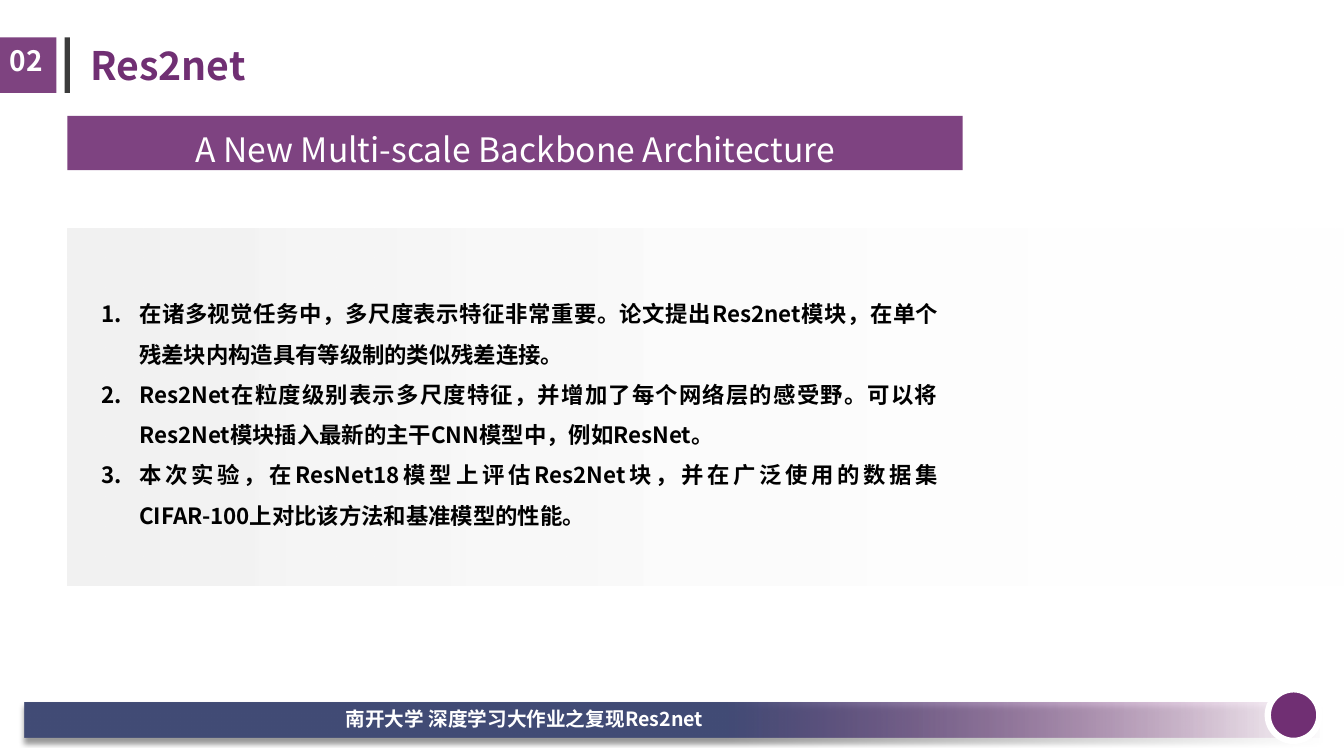
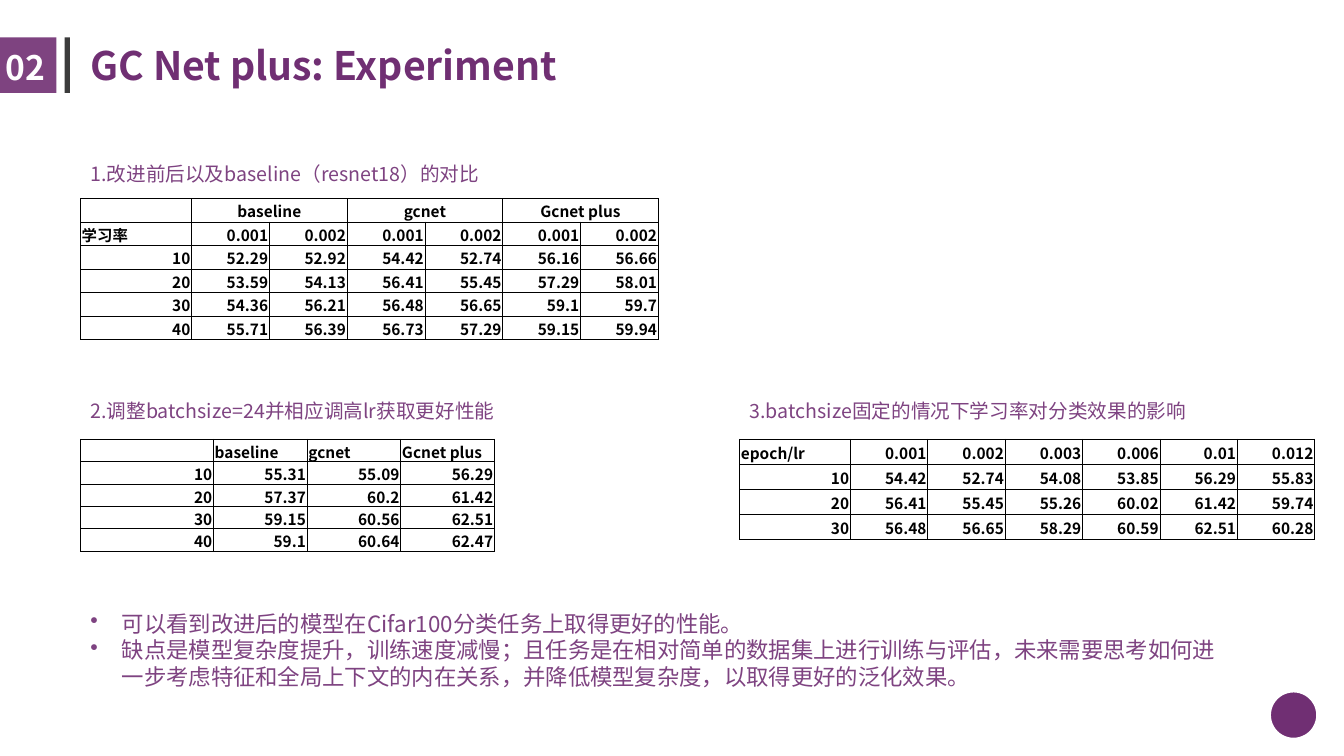
"""Build two slides on Res2net and the GC Net plus experiment."""
from lxml.etree import SubElement
from pptx import Presentation
from pptx.dml.color import RGBColor
from pptx.enum.shapes import MSO_SHAPE
from pptx.enum.text import MSO_ANCHOR, PP_ALIGN
from pptx.oxml.ns import qn
from pptx.util import Cm, Pt

RECT, OVAL = MSO_SHAPE.RECTANGLE, MSO_SHAPE.OVAL
MIDDLE, BOTTOM = MSO_ANCHOR.MIDDLE, MSO_ANCHOR.BOTTOM
LEFT, CENTER, RIGHT, JUSTIFY = PP_ALIGN.LEFT, PP_ALIGN.CENTER, PP_ALIGN.RIGHT, PP_ALIGN.JUSTIFY
FONT = "Noto Sans CJK SC"
PURPLE, MAUVE, DARK, WHITE, BLACK = "702F73", "7E4381", "262626", "FFFFFF", "000000"


def tint(color, code, alpha=100):
    """Set a colour from its hex code, with opacity in percent."""
    color.rgb = RGBColor.from_string(code)
    if alpha < 100:
        node = color._xFill.find(qn("a:srgbClr"))
        SubElement(node, qn("a:alpha"), val=str(alpha * 1000))


def write(frame, lines, code, look, form={}, mark=None, indent=0):
    """Fill a text frame with styled paragraphs, bulleted if a mark is given."""
    frame.word_wrap = True
    for i, line in enumerate(lines):
        para = frame.add_paragraph() if i else frame.paragraphs[0]
        for key, value in form.items():
            setattr(para, key, value)
        if mark:
            props = para._p.get_or_add_pPr()
            props.set("marL", str(Cm(indent)))
            props.set("indent", str(-Cm(indent)))
            tag, key, value = mark
            SubElement(props, qn(tag), {key: value})
        if line:
            run = para.add_run()
            run.text = line
            for key, value in {"name": FONT, **look}.items():
                setattr(run.font, key, value)
            tint(run.font.color, code)
            SubElement(run._r.get_or_add_rPr(), qn("a:ea"), typeface=FONT)
        else:
            SubElement(para._p, qn("a:endParaRPr"), sz=str(int(look["size"].pt * 100)))


deck = Presentation()
deck.slide_width, deck.slide_height = Cm(33.87), Cm(19.05)
blank = deck.slide_layouts[6]

heads = [
    ("Res2net", 20, 0, 0.97),
    ("GC Net plus: Experiment", 24, -0.1, 1.07),
]
frame_parts = [
    (OVAL, 31.95, 17.37, 1.3, 1.3, PURPLE, 100),
    (RECT, 0, 0.94, 1.42, 1.4, PURPLE, 90),
    (RECT, 1.63, 0.94, 0.13, 1.4, DARK, 90),
]
slides = []
for title, size, x, y in heads:
    slide = deck.slides.add_slide(blank)
    slides.append(slide)
    for kind, left, top, wide, high, code, alpha in frame_parts:
        part = slide.shapes.add_shape(kind, Cm(left), Cm(top), Cm(wide), Cm(high))
        part.shadow.inherit = False
        part.fill.solid()
        tint(part.fill.fore_color, code, alpha)
        if kind == OVAL:
            part.line.width = Pt(4.5)
            tint(part.line.color, WHITE)
        else:
            part.line.fill.background()
    box = slide.shapes.add_textbox(Cm(2.03), Cm(0.94), Cm(29.21), Cm(1.52))
    box.text_frame.vertical_anchor = MIDDLE
    write(box.text_frame, [title], PURPLE, {"size": Pt(28), "bold": True}, {"line_spacing": 0.9})
    box = slide.shapes.add_textbox(Cm(x), Cm(y), Cm(1.88), Cm(1.27))
    write(box.text_frame, ["02"], WHITE, {"size": Pt(size), "bold": True})

intro, trial = slides

band = intro.shapes.add_shape(RECT, Cm(1.7), Cm(2.92), Cm(22.56), Cm(1.37))
band.shadow.inherit = False
band.line.fill.background()
band.fill.solid()
tint(band.fill.fore_color, MAUVE)
band.text_frame.vertical_anchor = MSO_ANCHOR.TOP
write(band.text_frame, ["A New Multi-scale Backbone Architecture"], WHITE, {"size": Pt(24)},
      {"alignment": CENTER, "line_spacing": 1.2})

fades = [
    (1.7, 5.77, 33.86, 8.99, (0, "F2F2F2", 100), (1, WHITE, 0)),
    (0.61, 17.7, 32.64, 0.89, (0.54, "424C76", 100), (1, "7E0C6E", 1)),
]
for left, top, wide, high, *stops in fades:
    bar = intro.shapes.add_shape(RECT, Cm(left), Cm(top), Cm(wide), Cm(high))
    bar.shadow.inherit = False
    bar.line.fill.background()
    bar.fill.gradient()
    bar.fill.gradient_angle = 0
    for stop, (place, code, alpha) in zip(bar.fill.gradient_stops, stops):
        stop.position = place
        tint(stop.color, code, alpha)

effect = bar._element.spPr.find(qn("a:effectLst"))
shade = SubElement(effect, qn("a:outerShdw"), blurRad=str(Pt(4)), dist=str(Pt(3)),
                   dir="5400000", algn="t", rotWithShape="0")
black = SubElement(shade, qn("a:srgbClr"), val=BLACK)
SubElement(black, qn("a:alpha"), val="40000")

oval = intro.shapes[0]._element
bar._element.addnext(oval)

points = [
    "在诸多视觉任务中，多尺度表示特征非常重要。论文提出Res2net模块，在单个残差块内构造具有等级制的类似残差连接。",
    "Res2Net在粒度级别表示多尺度特征，并增加了每个网络层的感受野。可以将Res2Net模块插入最新的主干CNN模型中，例如ResNet。",
    "本次实验，在ResNet18模型上评估Res2Net块，并在广泛使用的数据集CIFAR-100上对比该方法和基准模型的性能。",
]
box = intro.shapes.add_textbox(Cm(2.31), Cm(7.11), Cm(21.59), Cm(6.3))
write(box.text_frame, points, BLACK, {"size": Pt(16), "bold": True},
      {"alignment": JUSTIFY, "line_spacing": 1.5}, ("a:buAutoNum", "type", "arabicPeriod"), 0.95)
box = intro.shapes.add_textbox(Cm(8.46), Cm(17.7), Cm(16.94), Cm(0.86))
write(box.text_frame, ["南开大学 深度学习大作业之复现Res2net"], WHITE,
      {"size": Pt(14), "bold": True}, {"alignment": JUSTIFY})

tables = [
    ("1.改进前后以及baseline（resnet18）的对比", 2.03, 3.96, 5, 2.8, 1.96, 3.56, [
        ["", "baseline", "", "gcnet", "", "Gcnet plus", ""],
        ["学习率", "0.001", "0.002", "0.001", "0.002", "0.001", "0.002"],
        ["10", "52.29", "52.92", "54.42", "52.74", "56.16", "56.66"],
        ["20", "53.59", "54.13", "56.41", "55.45", "57.29", "58.01"],
        ["30", "54.36", "56.21", "56.48", "56.65", "59.1", "59.7"],
        ["40", "55.71", "56.39", "56.73", "57.29", "59.15", "59.94"],
    ]),
    ("2.调整batchsize=24并相应调高lr获取更好性能", 2.03, 9.93, 11.07, 3.35, 2.36, 2.82, [
        ["", "baseline", "gcnet", "Gcnet plus"],
        ["10", "55.31", "55.09", "56.29"],
        ["20", "57.37", "60.2", "61.42"],
        ["30", "59.15", "60.56", "62.51"],
        ["40", "59.1", "60.64", "62.47"],
    ]),
    ("3.batchsize固定的情况下学习率对分类效果的影响", 18.64, 9.93, 11.07, 2.79, 1.95, 2.52, [
        ["epoch/lr", "0.001", "0.002", "0.003", "0.006", "0.01", "0.012"],
        ["10", "54.42", "52.74", "54.08", "53.85", "56.29", "55.83"],
        ["20", "56.41", "55.45", "55.26", "60.02", "61.42", "59.74"],
        ["30", "56.48", "56.65", "58.29", "60.59", "62.51", "60.28"],
    ]),
]
inset = {"margin_left": Cm(0.03), "margin_right": Cm(0.03), "margin_top": Cm(0.03),
         "margin_bottom": 0, "vertical_anchor": BOTTOM}
for label, left, head, top, first, rest, high, rows in tables:
    box = trial.shapes.add_textbox(Cm(left), Cm(head), Cm(14.15), Cm(0.86))
    write(box.text_frame, [label], MAUVE, {"size": Pt(14)})
    count = len(rows[0])
    wide = first + rest * (count - 1)
    grid = trial.shapes.add_table(len(rows), count, Cm(left), Cm(top), Cm(wide), Cm(high)).table
    grid.first_row = grid.horz_banding = False
    for c, col in enumerate(grid.columns):
        col.width = Cm(rest if c else first)
    for r, row in enumerate(rows):
        grid.rows[r].height = Cm(high / len(rows))
        for c, text in enumerate(row):
            cell = grid.cell(r, c)
            for key, value in inset.items():
                setattr(cell, key, value)
            cell.fill.background()
            props = cell._tc.get_or_add_tcPr()
            for i, side in enumerate(("a:lnL", "a:lnR", "a:lnT", "a:lnB")):
                edge = SubElement(props, qn(side), w=str(Pt(0.5)))
                SubElement(SubElement(edge, qn("a:solidFill")), qn("a:srgbClr"), val=BLACK)
                props.insert(i, edge)
            span = text and c + 1 < count and not row[c + 1]
            align = CENTER if span else RIGHT if text[:1].isdigit() else LEFT
            write(cell.text_frame, [text], BLACK, {"size": Pt(11), "bold": True}, {"alignment": align})
            if span:
                cell.merge(grid.cell(r, c + 1))

notes = [
    "可以看到改进后的模型在Cifar100分类任务上取得更好的性能。",
    "缺点是模型复杂度提升，训练速度减慢；且任务是在相对简单的数据集上进行训练与评估，未来需要思考如何进一步考虑特征和全局上下文的内在关系，并降低模型复杂度，以取得更好的泛化效果。",
]
box = trial.shapes.add_textbox(Cm(2.03), Cm(15.24), Cm(29.21), Cm(2.31))
write(box.text_frame, notes, MAUVE, {"size": Pt(16)}, {}, ("a:buChar", "char", "•"), 0.79)

deck.save("out.pptx")
